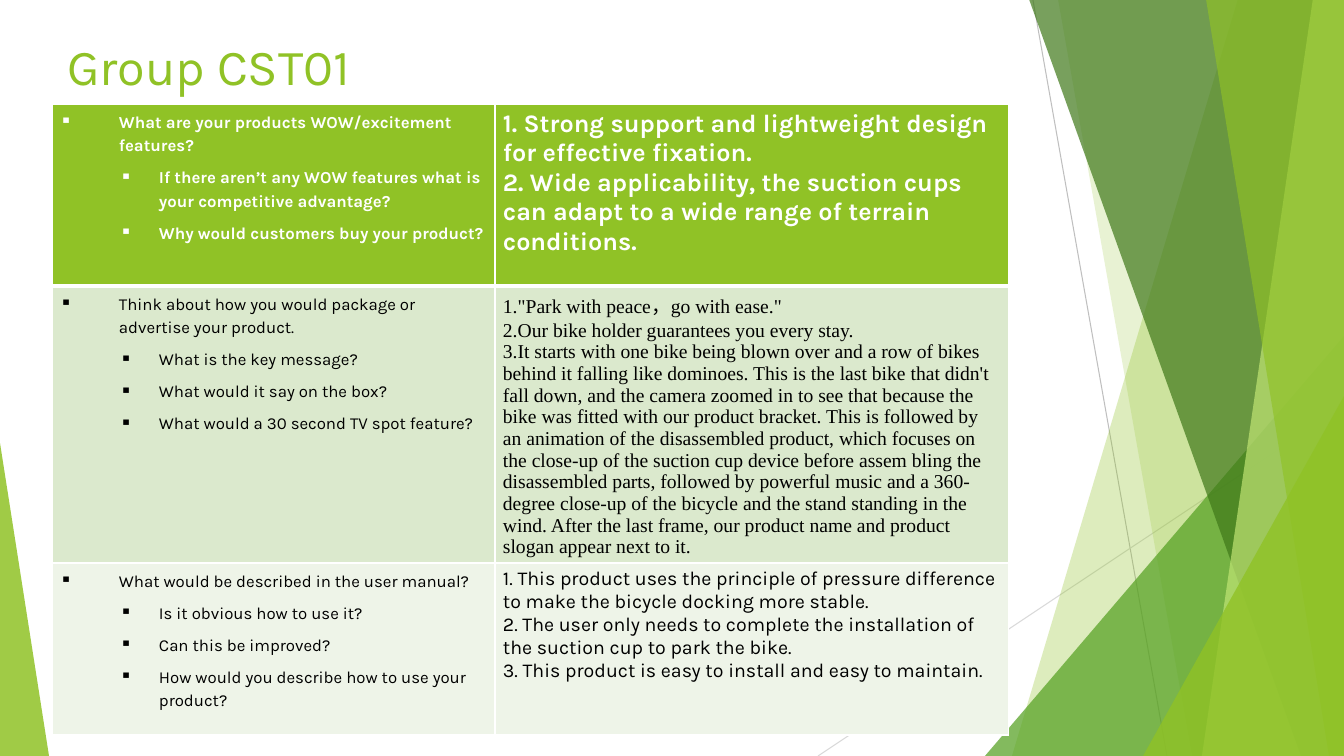
from lxml import etree
from pptx import Presentation
from pptx import util as u
from pptx.dml.color import RGBColor
from pptx.enum import shapes, text
from pptx.oxml import ns

EMU_PER_PX = 914400 / 100.8
WIDTH, HEIGHT = 1344, 756

WHITE = RGBColor(0xFF, 0xFF, 0xFF)
BLACK = RGBColor(0x00, 0x00, 0x00)
GREEN = RGBColor(0x90, 0xC2, 0x26)
MID_GREEN = RGBColor(0x54, 0xA0, 0x21)
DARK_GREEN = RGBColor(0x3F, 0x78, 0x19)
LIGHT_GREEN = RGBColor(0xC0, 0xE4, 0x74)
ROW_DARK = RGBColor(0xDB, 0xE9, 0xCD)
ROW_LIGHT = RGBColor(0xEE, 0xF4, 0xE8)
GREY = RGBColor(0xBF, 0xBF, 0xBF)
PALE_GREY = RGBColor(0xD9, 0xD9, 0xD9)

BODY_FONT = "Karla"
BULLET = "▪"
# Left margin and hanging indent of each list level
LIST_INDENTS = [(59, 59), (99, 39)]
COLUMN_WIDTHS = [443, 514]

# Each row: height, fill, text colour, bold, questions, answers, answer format
ROWS = [
    (182, GREEN, WHITE, True,
     ["What are your products WOW/excitement features?",
      "If there aren’t any WOW features what is your competitive advantage?",
      "Why would customers buy your product?"],
     ["1. Strong support and lightweight design for effective fixation.",
      "2. Wide applicability, the suction cups can adapt to a wide range of "
      "terrain conditions."],
     {"size": 18}),
    (277, ROW_DARK, BLACK, False,
     ["Think about how you would package or advertise your product.",
      "What is the key message?",
      "What would it say on the box?",
      "What would a 30 second TV spot feature?"],
     ['1."Park with peace，go with ease."',
      "2.Our bike holder guarantees you every stay.",
      "3.It starts with one bike being blown over and a row of bikes behind it "
      "falling like dominoes. This is the last bike that didn't fall down, and "
      "the camera zoomed in to see that because the bike was fitted with our "
      "product bracket. This is followed by an animation of the disassembled "
      "product, which focuses on the close-up of the suction cup device before "
      "assem bling the disassembled parts, followed by powerful music and a "
      "360-degree close-up of the bicycle and the stand standing in the wind. "
      "After the last frame, our product name and product slogan appear next "
      "to it."],
     {"size": 14, "font": "Times New Roman"}),
    (172, ROW_LIGHT, BLACK, False,
     ["What would be described in the user manual?",
      "Is it obvious how to use it?",
      "Can this be improved?",
      "How would you describe how to use your product?"],
     ["1. This product uses the principle of pressure difference to make the "
      "bicycle docking more stable.",
      "2. The user only needs to complete the installation of the suction cup "
      "to park the bike.",
      "3. This product is easy to install and easy to maintain."],
     {"size": 14}),
]


def px(length):
    return u.Emu(round(length * EMU_PER_PX))


def write_text(frame, lines, size, color, font=BODY_FONT, bold=False, bulleted=False):
    """Fill a text frame; in a bulleted one the first line heads the others."""
    for index, line in enumerate(lines):
        paragraph = frame.paragraphs[0] if index == 0 else frame.add_paragraph()
        paragraph.alignment = text.PP_ALIGN.LEFT
        run = paragraph.add_run()
        run.text = line
        run.font.name = font
        run.font.size = u.Pt(size)
        run.font.bold = bold
        run.font.color.rgb = color
        if bulleted:
            add_bullet(paragraph, min(index, 1))


def add_bullet(paragraph, level):
    margin, hanging = LIST_INDENTS[level]
    paragraph.level = level
    paragraph.line_spacing = 1.2
    paragraph.space_after = u.Pt(6)
    properties = paragraph._p.get_or_add_pPr()
    properties.set("marL", str(px(margin)))
    properties.set("indent", str(-px(hanging)))
    etree.SubElement(properties, ns.qn("a:buChar")).set("char", BULLET)


def paint(shape, color, opacity):
    """Give a shape a translucent fill without line or shadow."""
    shape.shadow.inherit = False
    shape.fill.solid()
    shape.fill.fore_color.rgb = color
    shape.line.fill.background()
    color_node = shape.element.spPr.find(ns.qn("a:solidFill"))[0]
    etree.SubElement(color_node, ns.qn("a:alpha")).set("val", str(opacity * 1000))


def add_line(slide, start, end, color):
    line = slide.shapes.add_connector(
        shapes.MSO_CONNECTOR.STRAIGHT, *map(px, start + end))
    line.line.color.rgb = color
    line.line.width = u.Pt(0.75)
    etree.SubElement(line.element.spPr, ns.qn("a:effectLst"))


def add_band(slide, top_x, bottom_x, color, opacity):
    """Fill from a slanting left edge to the right edge of the slide."""
    builder = slide.shapes.build_freeform(top_x, -1, scale=EMU_PER_PX)
    builder.add_line_segments([(WIDTH, -1), (WIDTH, HEIGHT), (bottom_x, HEIGHT)])
    paint(builder.convert_to_shape(), color, opacity)


def add_triangle(slide, left, top, width, apex, color, opacity):
    """Stand a triangle on the bottom of the slide; apex 0 is left, 1 is right."""
    triangle = slide.shapes.add_shape(
        shapes.MSO_SHAPE.ISOSCELES_TRIANGLE,
        px(left), px(top), px(width), px(HEIGHT - top))
    triangle.adjustments[0] = apex
    paint(triangle, color, opacity)


def add_decoration(slide):
    add_line(slide, (1033, 0), (1167, HEIGHT), GREY)
    add_line(slide, (WIDTH, 406), (818, HEIGHT), PALE_GREY)
    add_band(slide, 1238, 1012, GREEN, 30)
    add_band(slide, 1058, 1192, GREEN, 20)
    add_triangle(slide, 985, 336, 359, 1, MID_GREEN, 72)
    add_band(slide, 1029, 1301, DARK_GREEN, 70)
    add_band(slide, 1313, 1202, LIGHT_GREEN, 70)
    add_band(slide, 1206, 1329, GREEN, 65)
    add_triangle(slide, 1143, 396, 201, 1, GREEN, 80)
    add_triangle(slide, 0, 443, 49, 0, GREEN, 85)


def set_title(slide, title_text):
    title = slide.shapes.title
    title.element.getparent().append(title.element)
    title.left, title.top, title.width, title.height = map(px, (57, 30, 948, 145))
    title.text_frame.vertical_anchor = text.MSO_ANCHOR.TOP
    write_text(title.text_frame, [title_text], 36, GREEN)


def format_cell(cell, fill, bottom_width):
    properties = cell._tc.get_or_add_tcPr()
    for side, width in (("L", 1), ("R", 1), ("T", 1), ("B", bottom_width)):
        border = etree.SubElement(properties, ns.qn(f"a:ln{side}"), w=str(u.Pt(width)))
        border_fill = etree.SubElement(border, ns.qn("a:solidFill"))
        etree.SubElement(border_fill, ns.qn("a:srgbClr"), val=str(WHITE))
    cell.fill.solid()
    cell.fill.fore_color.rgb = fill
    cell.margin_left = cell.margin_right = px(8)
    cell.margin_top = cell.margin_bottom = px(5)


def add_question_table(slide):
    table = slide.shapes.add_table(
        len(ROWS), len(COLUMN_WIDTHS), px(52), px(104),
        px(sum(COLUMN_WIDTHS)), px(sum(row[0] for row in ROWS))).table
    for column, width in zip(table.columns, COLUMN_WIDTHS):
        column.width = px(width)
    for index, row in enumerate(ROWS):
        height, fill, color, bold, questions, answers, answer_format = row
        table.rows[index].height = px(height)
        question_cell, answer_cell = table.rows[index].cells
        for cell in (question_cell, answer_cell):
            format_cell(cell, fill, bottom_width=3 if index == 0 else 1)
        write_text(question_cell.text_frame, questions, size=12, color=color,
                   bold=bold, bulleted=True)
        write_text(answer_cell.text_frame, answers, color=color, bold=bold,
                   **answer_format)


def main():
    presentation = Presentation()
    presentation.slide_width, presentation.slide_height = px(WIDTH), px(HEIGHT)
    slide = presentation.slides.add_slide(presentation.slide_layouts.get_by_name("Title Only"))
    add_decoration(slide)
    set_title(slide, "Group CST01")
    add_question_table(slide)
    presentation.save("out.pptx")


if __name__ == "__main__":
    main()
